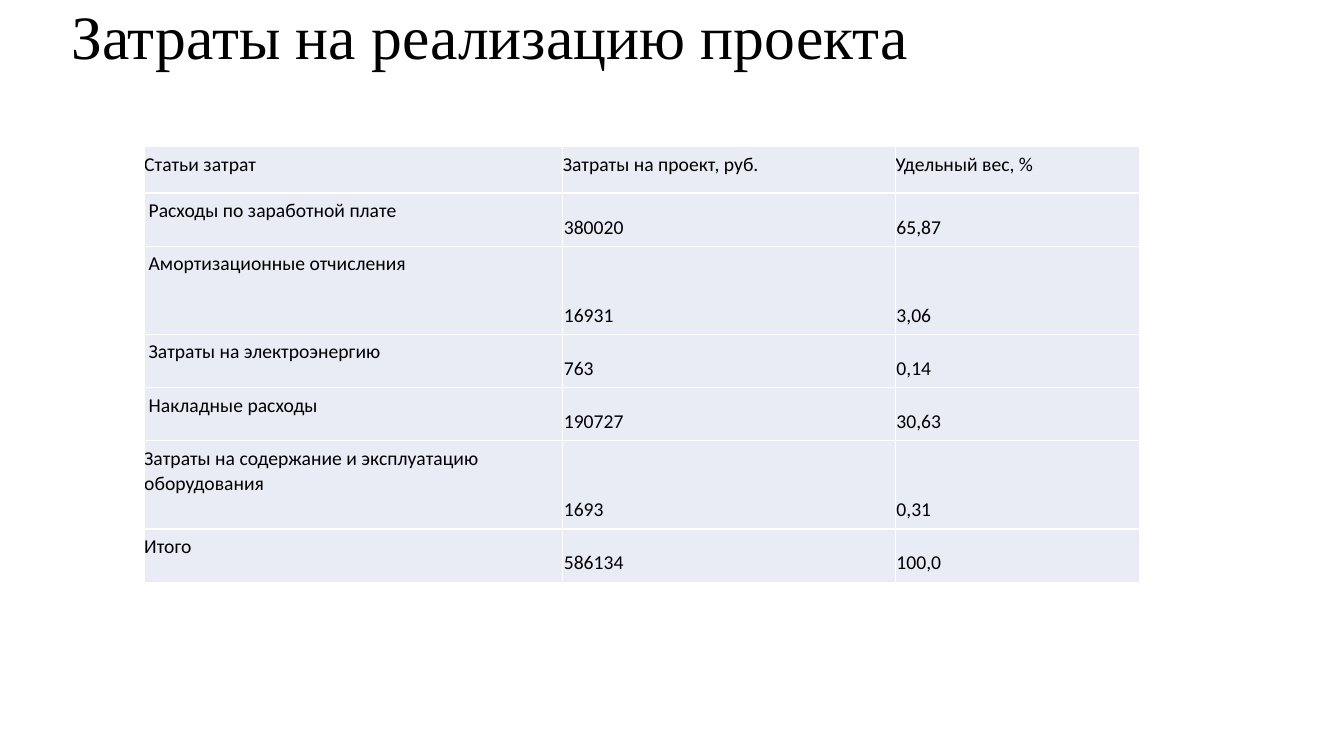
from lxml import etree
from pptx import Presentation
from pptx.dml.color import RGBColor
from pptx.enum.text import MSO_ANCHOR, PP_ALIGN
from pptx.oxml.ns import qn
from pptx.util import Pt

TOP, MIDDLE, BOTTOM = MSO_ANCHOR.TOP, MSO_ANCHOR.MIDDLE, MSO_ANCHOR.BOTTOM
LEFT, JUSTIFY = PP_ALIGN.LEFT, PP_ALIGN.JUSTIFY
BLACK, WHITE, PALE_BLUE = "000000", "FFFFFF", "E9EBF5"


def color(value):
    return RGBColor.from_string(value)


def write(frame, text, font, size, spacing, align):
    frame.text = text
    paragraph = frame.paragraphs[0]
    paragraph.line_spacing = spacing
    paragraph.alignment = align
    run_font = paragraph.runs[0].font
    run_font.name = font
    run_font.size = Pt(size)
    run_font.color.rgb = color(BLACK)


prs = Presentation()
prs.slide_width, prs.slide_height = Pt(960), Pt(540)
slide = prs.slides.add_slide(prs.slide_layouts[6])

# Title
title = slide.shapes.add_textbox(Pt(43.9), Pt(-23.8), Pt(828), Pt(104.4)).text_frame
title.word_wrap = True
title.vertical_anchor = MIDDLE
write(title, "Затраты на реализацию проекта", "Times New Roman", 44, 0.9, LEFT)

# Cost table
costs = [
    ("Статьи затрат", "Затраты на проект, руб.", "Удельный вес, %"),
    (" Расходы по заработной плате", "380020", "65,87"),
    (" Амортизационные отчисления", "16931", "3,06"),
    (" Затраты на электроэнергию", "763", "0,14"),
    (" Накладные расходы", "190727", "30,63"),
    ("Затраты на содержание и эксплуатацию оборудования", "1693", "0,31"),
    ("Итого", "586134", "100,0"),
]
column_widths = [299, 237.6, 174.5]
row_heights = [33, 38, 63, 38, 38, 63, 38]

table = slide.shapes.add_table(
    len(costs), len(column_widths), Pt(103), Pt(104.9),
    Pt(sum(column_widths)), Pt(sum(row_heights))).table
for column, width in zip(table.columns, column_widths):
    column.width = Pt(width)
for row, height in zip(table.rows, row_heights):
    row.height = Pt(height)

for r, entries in enumerate(costs):
    for c, entry in enumerate(entries):
        cell = table.cell(r, c)
        is_value = r > 0 and c > 0
        # Values sit at the bottom of the cell, labels at the top
        cell.vertical_anchor = BOTTOM if is_value else TOP
        left, top, right, bottom = (0.75, 0.75, 0.75, 5) if is_value else (0, 3, 5.6, 0)
        cell.margin_left, cell.margin_top = Pt(left), Pt(top)
        cell.margin_right, cell.margin_bottom = Pt(right), Pt(bottom)
        write(cell.text_frame, entry, "Calibri", 14, 1.07, JUSTIFY if c else LEFT)

        # White borders go before the fill in the cell properties
        properties = cell._tc.get_or_add_tcPr()
        for side in ("a:lnL", "a:lnR", "a:lnT", "a:lnB"):
            border = etree.SubElement(properties, qn(side), w=str(Pt(1)))
            stroke = etree.SubElement(border, qn("a:solidFill"))
            etree.SubElement(stroke, qn("a:srgbClr"), val=WHITE)
        cell.fill.solid()
        cell.fill.fore_color.rgb = color(PALE_BLUE)

prs.save("out.pptx")
